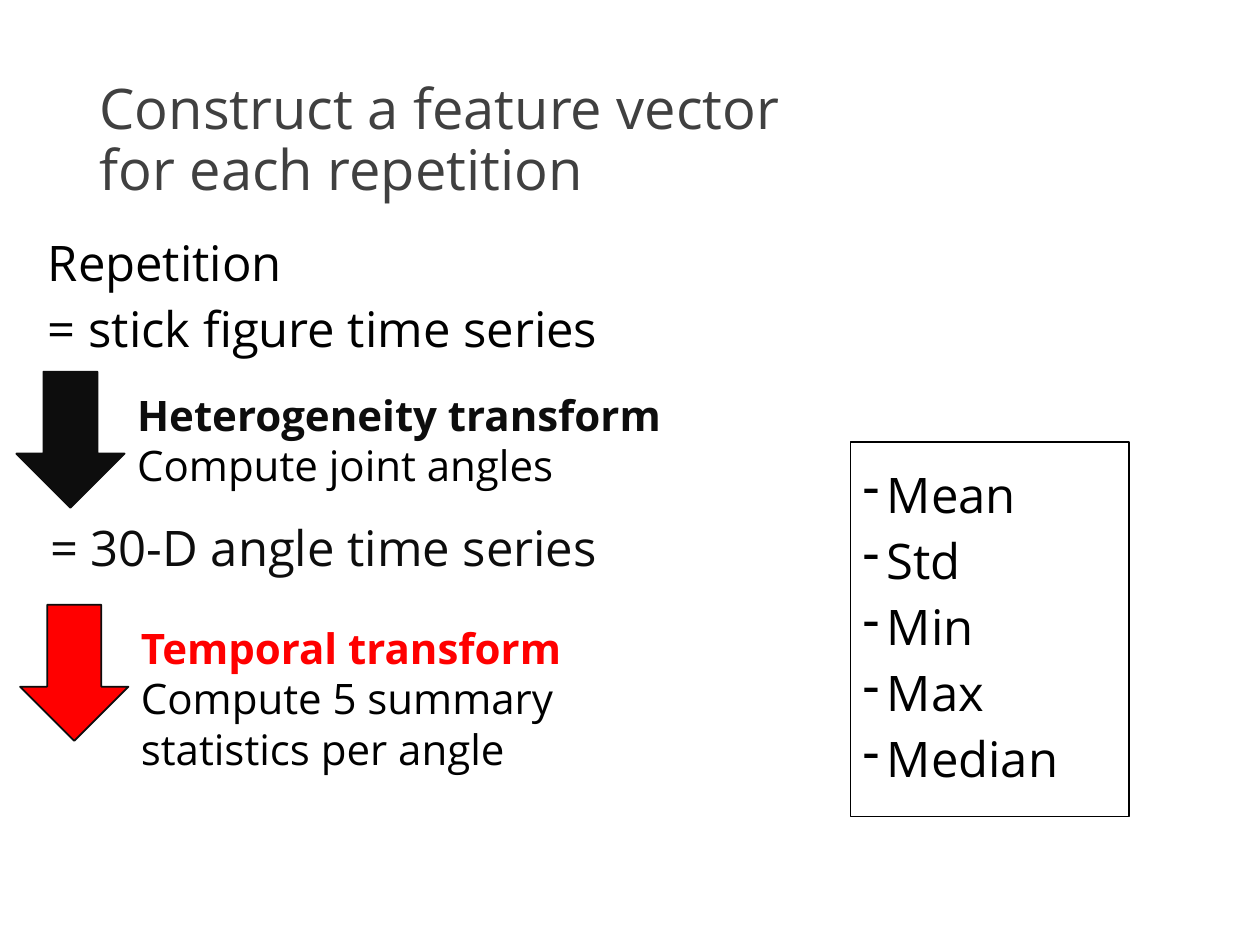
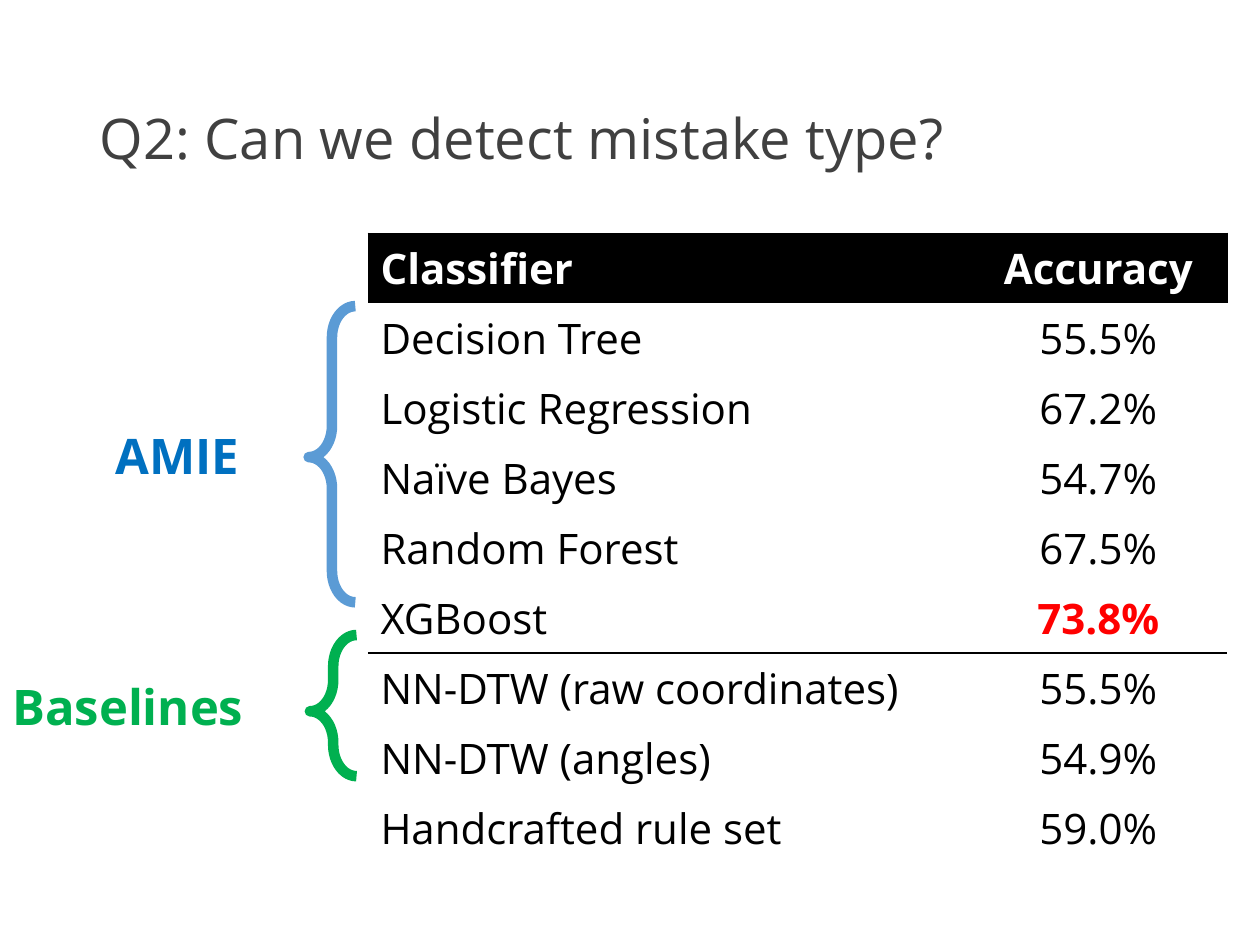
from lxml import etree
from pptx import Presentation
from pptx.dml.color import RGBColor
from pptx.enum import shapes, text
from pptx.oxml.ns import qn
from pptx.util import Inches, Pt

FONT = "Open Sans"
HUES = {
    "white": "FFFFFF", "black": "000000", "ink": "0D0D0D", "title": "404040",
    "red": "FF0000", "blue": "0070C0", "sky": "5B9BD5", "green": "00B050",
}
ROWS = [
    ("Classifier", "Accuracy"),
    ("Decision Tree", "55.5%"),
    ("Logistic Regression", "67.2%"),
    ("Naïve Bayes", "54.7%"),
    ("Random Forest", "67.5%"),
    ("XGBoost", "73.8%"),
    ("NN-DTW (raw coordinates)", "55.5%"),
    ("NN-DTW (angles)", "54.9%"),
    ("Handcrafted rule set", "59.0%"),
]
BEST = 5
EDGES = ("lnL", "lnR", "lnT", "lnB")


def hue(name):
    return RGBColor.from_string(HUES[name])


def write(par, words, size, color, bold=False):
    for i, line in enumerate(words.split("\n")):
        if i:
            par.add_line_break()
        run = par.add_run()
        run.text = line
        run.font.name = FONT
        run.font.size = Pt(size)
        run.font.bold = bold
        run.font.color.rgb = hue(color)


def fill_frame(frame, lines, size):
    for i, (words, color, bold) in enumerate(lines):
        par = frame.paragraphs[0] if i == 0 else frame.add_paragraph()
        par.alignment = text.PP_ALIGN.LEFT
        write(par, words, size, color, bold)


def place(shape, box):
    shape.left, shape.top, shape.width, shape.height = map(Inches, box)


def head(slide, words):
    title = slide.shapes.title
    place(title, (0.69, 0.4, 8.62, 1.45))
    frame = title.text_frame
    frame.auto_size = text.MSO_AUTO_SIZE.NONE
    frame.vertical_anchor = text.MSO_ANCHOR.MIDDLE
    fill_frame(frame, [(words, "title", False)], 32)
    frame.paragraphs[0].line_spacing = 0.9


def items(frame, lines, mark=None):
    fill_frame(frame, [(line, "black", False) for line in lines], 28)
    for par in frame.paragraphs:
        par.line_spacing = 0.9
        par.space_before = Pt(7.5)
        props = par._p.get_or_add_pPr()
        dent = Inches(0.19) if mark else 0
        props.set("marL", str(dent))
        props.set("indent", str(-dent))
        if mark:
            etree.SubElement(props, qn("a:buChar"), char=mark)
        else:
            etree.SubElement(props, qn("a:buNone"))


def label(slide, box, lines, size):
    frame = slide.shapes.add_textbox(*map(Inches, box)).text_frame
    frame.word_wrap = True
    fill_frame(frame, lines, size)


def draw(slide, kind, box, fill, line, width=1):
    shape = slide.shapes.add_shape(kind, *map(Inches, box))
    shape.shadow.inherit = False
    if fill:
        shape.fill.solid()
        shape.fill.fore_color.rgb = hue(fill)
    else:
        shape.fill.background()
    shape.line.color.rgb = hue(line)
    shape.line.width = Pt(width)
    return shape


def step(slide, box, color, name, note):
    x, y, w, h = box
    draw(slide, shapes.MSO_SHAPE.DOWN_ARROW, (x, y, 0.86, 1.08), color, "ink")
    lines = [(name, color, True), (note, "black", False)]
    label(slide, (x + 0.86, y + 0.09, w - 0.86, h - 0.09), lines, 24)


def stats(slide, box):
    shape = draw(slide, shapes.MSO_SHAPE.RECTANGLE, box, "white", "black")
    frame = shape.text_frame
    frame.vertical_anchor = text.MSO_ANCHOR.MIDDLE
    items(frame, ["Mean", "Std", "Min", "Max", "Median"], "-")


def edge(cell, lines):
    props = cell._tc.get_or_add_tcPr()
    for i, tag in enumerate(EDGES):
        width = lines.get(tag, 0)
        line = etree.Element(qn("a:" + tag), w=str(Pt(width)))
        if width:
            paint = etree.SubElement(line, qn("a:solidFill"))
            etree.SubElement(paint, qn("a:srgbClr"), val=HUES["black"])
        else:
            etree.SubElement(line, qn("a:noFill"))
        props.insert(i, line)


def scores(slide, box):
    frame = slide.shapes.add_table(len(ROWS), 2, *map(Inches, box))
    table = frame.table
    table.horz_banding = False
    table.columns[0].width = Inches(box[2] * 0.7)
    table.columns[1].width = Inches(box[2] * 0.3)
    for r, row in enumerate(ROWS):
        for c, words in enumerate(row):
            cell = table.cell(r, c)
            top, best = r == 0, (r, c) == (BEST, 1)
            cell.fill.solid()
            cell.fill.fore_color.rgb = hue("black" if top else "white")
            lines = {}
            if top:
                lines = {"lnT": 0.5, EDGES[c]: 0.5}
            elif r == BEST:
                lines = {"lnB": 1}
            elif r == BEST + 1:
                lines = {"lnT": 1}
            edge(cell, lines)
            par = cell.text_frame.paragraphs[0]
            par.alignment = text.PP_ALIGN.CENTER if c else text.PP_ALIGN.LEFT
            color = "white" if top else "red" if best else "black"
            write(par, words, 24, color, top or best)


def group(slide, box, name, ink, line, bend):
    x, y, w, h = box
    brace = draw(slide, shapes.MSO_SHAPE.LEFT_BRACE,
                 (x + w - 0.37, y, 0.37, h), None, line, 6)
    brace.adjustments[0] = 0.67
    brace.adjustments[1] = bend
    mid = y + h / 2 - 0.28
    label(slide, (x, mid, 2.12, 0.57), [(name, ink, True)], 28)


def build_steps(deck):
    slide = deck.slides.add_slide(deck.slide_layouts[1])
    head(slide, "Construct a feature vector\nfor each repetition")
    body = slide.placeholders[1]
    place(body, (0.28, 1.85, 6.6, 5.14))
    body.text_frame.auto_size = text.MSO_AUTO_SIZE.NONE
    items(body.text_frame, ["Repetition", "= stick figure time series"])
    stats(slide, (6.75, 3.51, 2.21, 2.97))
    label(slide, (0.3, 4.06, 5.73, 0.57),
          [("= 30-D angle time series", "ink", False)], 28)
    step(slide, (0.13, 2.95, 5.86, 1), "ink",
         "Heterogeneity transform", "Compute joint angles")
    step(slide, (0.16, 4.8, 5.86, 1.4), "red",
         "Temporal transform", "Compute 5 summary\nstatistics per angle")


def build_scores(deck):
    slide = deck.slides.add_slide(deck.slide_layouts[5])
    head(slide, "Q2: Can we detect mistake type?")
    scores(slide, (2.92, 1.85, 6.82, 5))
    group(slide, (0.82, 2.43, 2, 2.35), "AMIE", "blue", "sky", 0.51)
    group(slide, (0, 5.04, 2.83, 1.12), "Baselines", "green", "green", 0.54)


def main():
    deck = Presentation()
    deck.slide_width, deck.slide_height = Inches(10), Inches(7.5)
    build_steps(deck)
    build_scores(deck)
    deck.save("out.pptx")


if __name__ == "__main__":
    main()
